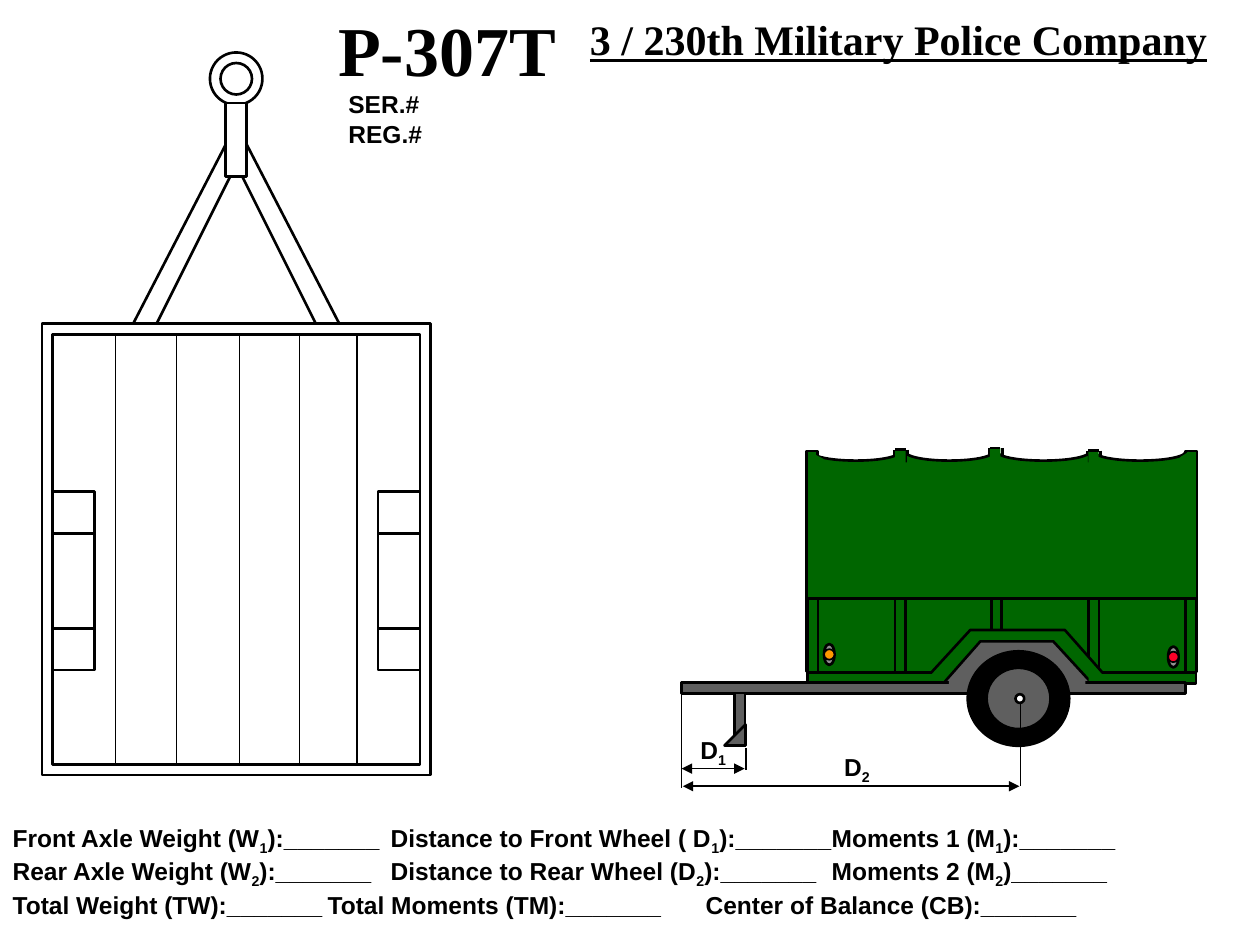
from lxml import etree
from pptx import Presentation
from pptx.dml import color
from pptx.enum import shapes, text
from pptx.oxml import ns
from pptx.util import Pt

COLORS = {
    "black": "000000", "white": "FFFFFF", "green": "006600", "steel": "5F5F5F",
    "reflector": "919191", "red": "FC0128", "amber": "FF9900",
}
LABEL = {"name": "Arial", "size": Pt(14), "bold": True}
MODEL = {"name": "Times New Roman", "size": Pt(40), "bold": True}
UNIT = {"name": "Times New Roman", "size": Pt(24), "bold": True, "underline": True}
FRAME = {"margin_left": Pt(7.2), "margin_right": Pt(7.2), "margin_top": Pt(3.6),
         "margin_bottom": Pt(3.6), "auto_size": text.MSO_AUTO_SIZE.NONE,
         "vertical_anchor": text.MSO_ANCHOR.TOP}
PARAGRAPH = {"alignment": text.PP_ALIGN.LEFT, "space_before": Pt(0), "line_spacing": 1.0}
KIND = shapes.MSO_SHAPE


def set_values(target, values):
    for name, value in values.items():
        setattr(target, name, value)


def paint(color_format, name):
    color_format.rgb = color.RGBColor.from_string(COLORS[name])


def sub_element(parent, tag, **attributes):
    return etree.SubElement(parent, ns.qn(tag), attributes)


def finish(shape, fill, line):
    """Give a shape its fill and its line width; None means none."""
    shape.shadow.inherit = False
    if fill:
        shape.fill.solid()
        paint(shape.fill.fore_color, fill)
    else:
        shape.fill.background()
    if line:
        shape.line.width = Pt(line)
        paint(shape.line.color, "black")
    else:
        shape.line.fill.background()


class Region:
    """Draws on a slide, measuring in points from the corner of its box."""

    def __init__(self, slide, left, top):
        self.slide, self.left, self.top = slide, left, top

    def point(self, x, y):
        return Pt(self.left + x), Pt(self.top + y)

    def shape(self, kind, x, y, width, height, fill=None, line=1.5, rotation=0):
        shape = self.slide.shapes.add_shape(
            kind, *self.point(x, y), Pt(width), Pt(height))
        shape.rotation = rotation
        finish(shape, fill, line)

    def rect(self, *place, **look):
        self.shape(KIND.RECTANGLE, *place, **look)

    def oval(self, *place, **look):
        self.shape(KIND.OVAL, *place, **look)

    def outline(self, points, fill):
        start, *others = [self.point(*point) for point in points]
        builder = self.slide.shapes.build_freeform(*start)
        builder.add_line_segments(others, close=True)
        finish(builder.convert_to_shape(), fill, 1.5)

    def line(self, x1, y1, x2, y2, width=1.5, arrows=False):
        connector = self.slide.shapes.add_connector(
            shapes.MSO_CONNECTOR.STRAIGHT, *self.point(x1, y1), *self.point(x2, y2))
        connector.line.width = Pt(width)
        paint(connector.line.color, "black")
        if arrows:
            line = connector.line._get_or_add_ln()
            for end in ("a:headEnd", "a:tailEnd"):
                sub_element(line, end, type="triangle")
        sub_element(connector._element.spPr, "a:effectLst")

    def add_text(self, lines, font, x, y, width, height, holder=None, tabs=()):
        """Set lines of text; the character after each ~ is a subscript."""
        place = (*self.point(x, y), Pt(width), Pt(height))
        holder = holder or self.slide.shapes.add_textbox(*place)
        set_values(holder, dict(zip(("left", "top", "width", "height"), place)))
        frame = holder.text_frame
        set_values(frame, FRAME | {"word_wrap": bool(tabs)})
        for index, content in enumerate(lines):
            paragraph = frame.add_paragraph() if index else frame.paragraphs[0]
            set_values(paragraph, PARAGRAPH)
            if tabs:
                properties = paragraph._p.get_or_add_pPr()
                properties.set("marL", "0")
                properties.set("indent", "0")
                sub_element(properties, "a:buNone")
                stops = sub_element(properties, "a:tabLst")
                for stop in tabs[index]:
                    sub_element(stops, "a:tab", pos=str(Pt(stop)), algn="l")
            first, *others = content.split("~")
            pieces = [(first, False)]
            for part in others:
                pieces += [(part[0], True), (part[1:], False)]
            for piece, lowered in pieces:
                if not piece:
                    continue
                run = paragraph.add_run()
                run.text = piece
                set_values(run.font, font)
                paint(run.font.color, "black")
                if lowered:
                    run._r.get_or_add_rPr().set("baseline", "-25000")


def add_header(slide, left, top):
    region = Region(slide, left, top)
    region.add_text(["P-307T"], MODEL, 0, 0, 159, 55, slide.shapes.title)
    region.add_text(["3 / 230th Military Police Company"], UNIT, 144, 4.3, 367, 36)
    region.add_text(["SER.#", "REG.#"], LABEL, 6, 47.5, 63, 41)


def add_top_view(slide, left, top):
    region = Region(slide, left, top)
    # Drawbar and bed
    region.shape(KIND.ISOSCELES_TRIANGLE, 18, 41, 186, 180)
    region.shape(KIND.ISOSCELES_TRIANGLE, 32, 64, 158, 158)
    region.rect(0, 155, 222, 258, fill="white")
    region.rect(6, 161, 210, 246)
    # Towing ring
    region.oval(96, 0, 30, 30, fill="white")
    region.oval(102, 6, 18, 18, fill="white")
    region.rect(105, 29, 12, 42, fill="white")
    # Wheel wells
    for x in (6, 192):
        region.rect(x, 251, 24, 102, fill="white")
        for y in (275, 329):
            region.line(x, y, x + 24, y)
    # Floor planks
    for x in (42, 77, 113, 147, 180):
        region.line(x, 161, x, 407, width=0.75)


def add_side_view(slide, left, top):
    region = Region(slide, left, top)
    posts = ((122, 2, 126), (176.2, 1, 108), (232.4, 2.5, 126))
    # Canvas top between the posts
    for x, y, _ in posts:
        for edge in (x - 0.5, x + 7):
            region.line(edge, y, edge, y + 6)
    for x, width in ((236, 52), (74.5, 50), (128, 50), (180.5, 52.5)):
        region.shape(KIND.FLOWCHART_STORED_DATA, x + width / 2 - 15, 18.2 - width / 2,
                     30, width, fill="green", rotation=270)
    # Body, posts and canvas
    region.rect(72, 87, 222, 48, fill="green")
    region.rect(72, 129.5, 222, 6, fill="green")
    for x, y, height in posts:
        region.rect(x, y, 6, height, fill="green", line=None)
        region.line(x, y, x + 6, y)
    for x in (71.3, 288):
        region.rect(x, 2.8, 6.5, 126, fill="green")
    region.rect(74.2, 9.2, 216, 78, fill="green", line=None)
    for x in (72, 122, 177, 232.5, 288):
        region.rect(x, 87, 6, 42, fill="green")
    for x, y, angle in ((74.2, 5.6, 27.6), (286, 4.2, 57.9)):
        region.rect(x, y, 6, 6, fill="green", line=None, rotation=angle)
    region.line(72.7, 87, 294.5, 87)
    # Lights
    for x, y, lens in ((81.4, 113, "amber"), (278, 114.4, "red")):
        region.oval(x, y, 6, 12, fill="reflector")
        region.oval(x, y + 3, 6, 6, fill=lens, line=1)
    # Fender and tongue
    region.outline([(137.5, 135), (165, 105), (219, 105), (245.5, 135)], "green")
    region.outline([(150, 135), (170.7, 111.5), (212.4, 111.5), (234, 135)], "steel")
    for x in (131.8, 232.6):
        region.rect(x, 130.2, 18, 6, fill="green", line=None)
    region.rect(0, 135.2, 288, 6, fill="steel")
    region.rect(152.7, 133.1, 78, 6, fill="steel", line=None)
    # Wheel
    region.oval(163.5, 117.2, 58, 54, fill="black")
    region.oval(174.3, 126.6, 36.5, 35, fill="steel")
    region.oval(190.8, 141.7, 5, 5, fill="white")
    # Landing leg
    region.rect(30.3, 141, 6, 30, fill="steel")
    region.shape(KIND.RIGHT_TRIANGLE, 24.5, 159, 12, 12, fill="steel", rotation=270)
    # Dimensions
    for x, start, end in ((0, 141, 195), (36.7, 172.7, 185), (193.7, 146, 194.3)):
        region.line(x, start, x, end, width=1)
    region.line(0, 184.2, 36, 184.2, width=1, arrows=True)
    region.line(0.7, 194.3, 193, 194.3, width=1, arrows=True)
    region.add_text(["D~1"], LABEL, 3.6, 161.2, 29, 26.5)
    region.add_text(["D~2"], LABEL, 85.7, 171.2, 29, 26.5)


def add_weight_form(slide, left, top):
    blank = "_" * 7
    rows = [
        ("Front Axle Weight (W~1):", "Distance to Front Wheel ( D~1):", "Moments 1 (M~1):"),
        ("Rear Axle Weight (W~2):", "Distance to Rear Wheel (D~2):", "Moments 2 (M~2)"),
        ("Total Weight (TW):", "Total Moments (TM):", "Center of Balance (CB):"),
    ]
    lines = ["\t".join(label + blank for label in row) for row in rows]
    tabs = [(213.5, 479.5), (212.5, 479.5), (212, 472.5)]
    Region(slide, left, top).add_text(
        lines, LABEL, 0, 0, 720, 70, slide.placeholders[1], tabs)


def main():
    presentation = Presentation()
    presentation.slide_width, presentation.slide_height = Pt(720), Pt(540)
    slide = presentation.slides.add_slide(presentation.slide_layouts[1])
    add_header(slide, 186, 0)
    add_top_view(slide, 24, 30)
    add_side_view(slide, 389.5, 255)
    add_weight_form(slide, 0, 466.5)
    presentation.save("out.pptx")


if __name__ == "__main__":
    main()
